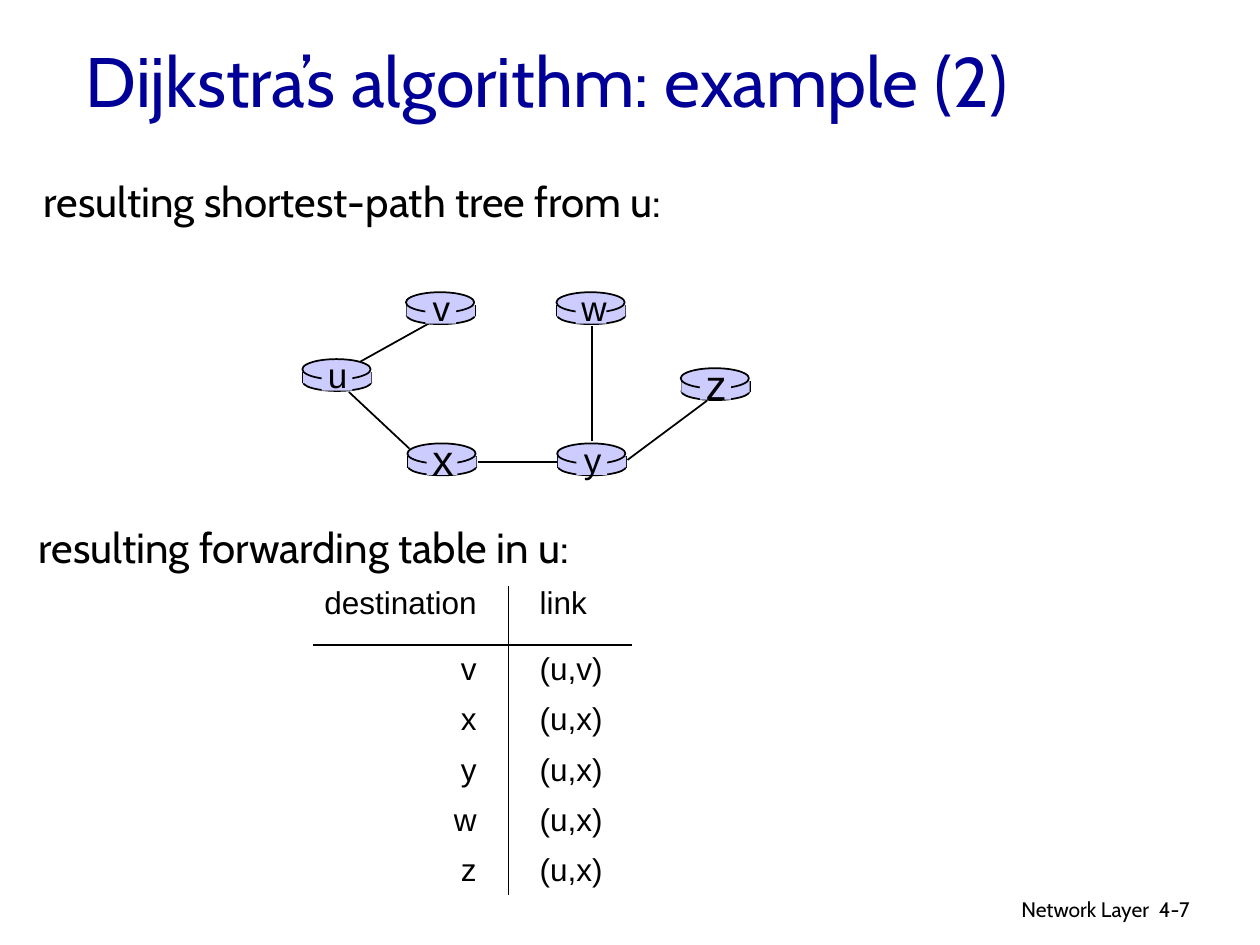
"""Build the slide with the shortest-path tree and forwarding table of router u."""
import pptx
import pptx.dml.color
import pptx.enum.shapes
import pptx.enum.text
import pptx.oxml
import pptx.oxml.ns
import pptx.util
from dataclasses import dataclass


@dataclass(frozen=True)
class Theme:
    heading_font: str = "Cabin"
    label_font: str = "Arial"
    title_color: str = "000099"
    ink: str = "000000"
    router_fill: str = "CCCCFF"
    title_size: int = 40
    lead_size: int = 24
    table_size: int = 18
    footer_size: int = 12
    link_width: float = 1
    rule_width: float = 0.75


THEME = Theme()
Pt = pptx.util.Pt
SHAPE = pptx.enum.shapes.MSO_SHAPE
ALIGN = pptx.enum.text.PP_ALIGN
ANCHOR = pptx.enum.text.MSO_ANCHOR

TITLE = "Dijkstra’s algorithm: example (2)"
TITLE_FRAME = (41.8, 12.2, 612, 67)
LEADS = [
    ("resulting shortest-path tree from u:", (18, 96.5, 414, 36)),
    ("resulting forwarding table in u:", (15.1, 294.5, 364.3, 36)),
]
FOOTERS = [
    ("Network Layer", (435.6, 509, 228.2, 22), ALIGN.RIGHT),
    ("4-7", (655.2, 509, 53.3, 22), ALIGN.LEFT),
]
ROUTERS = [
    ("u", 172.8, 205.2, 20),
    ("x", 232.8, 253.4, 24),
    ("v", 232, 167, 20),
    ("w", 318, 167, 20),
    ("y", 318.4, 253.4, 20),
    ("z", 389, 210.4, 24),
]
LINKS = [
    (206, 206.6, 248.4, 183),
    (338.4, 186.5, 338.4, 252),
    (358.6, 262.8, 404, 229),
    (273, 264.2, 319, 264.2),
    (199.4, 224, 234, 256.4),
]
FORWARDING = [
    ("destination", "link"),
    ("v", "(u,v)"),
    ("x", "(u,x)"),
    ("y", "(u,x)"),
    ("w", "(u,x)"),
    ("z", "(u,x)"),
]
TABLE_LEFT, TABLE_TOP = 179, 335
COLUMN_WIDTHS = (111.4, 71)
HEADER_HEIGHT, ROW_HEIGHT = 33.6, 28.6
CELL_GAP = 18
ROUTER_WIDTH, ROUTER_LID, ROUTER_DROP, ROUTER_WALL = 39, 11.6, 7.4, 6.4


def rgb(code):
    return pptx.dml.color.RGBColor.from_string(code)


def write(frame, text, font, size, color=THEME.ink, align=ALIGN.LEFT):
    para = frame.paragraphs[0]
    para.alignment = align
    span = para.add_run()
    span.text = text
    span.font.name = font
    span.font.size = Pt(size)
    span.font.color.rgb = rgb(color)


def add_text(page, text, bounds, font, size, align=ALIGN.LEFT, wrap=True):
    box = page.shapes.add_textbox(*map(Pt, bounds))
    box.text_frame.word_wrap = wrap
    write(box.text_frame, text, font, size, align=align)


def add_part(page, kind, bounds, outlined):
    part = page.shapes.add_shape(kind, *map(Pt, bounds))
    part.shadow.inherit = False
    part.fill.solid()
    part.fill.fore_color.rgb = rgb(THEME.router_fill)
    if outlined:
        part.line.color.rgb = rgb(THEME.ink)
        part.line.width = Pt(THEME.link_width)
    else:
        part.line.fill.background()


def add_line(page, ends):
    line = page.shapes.add_connector(pptx.enum.shapes.MSO_CONNECTOR.STRAIGHT, *map(Pt, ends))
    line.line.color.rgb = rgb(THEME.ink)
    line.line.width = Pt(THEME.link_width)
    pptx.oxml.ns.qn("a:effectLst")
    line._element.spPr.append(pptx.oxml.parse_xml(
        f'<a:effectLst {pptx.oxml.ns.nsdecls("a")}/>'))


def add_router(page, name, left, top, size):
    wall_top = top + ROUTER_DROP
    add_part(page, SHAPE.OVAL, (left + 0.4, top + 8.2, ROUTER_WIDTH, 10), True)
    for side in (left + 0.4, left + 0.4 + ROUTER_WIDTH):
        add_line(page, (side, wall_top, side, wall_top + ROUTER_WALL))
    add_part(page, SHAPE.RECTANGLE, (left + 0.4, wall_top, ROUTER_WIDTH, ROUTER_WALL), False)
    add_part(page, SHAPE.OVAL, (left, top, ROUTER_WIDTH, ROUTER_LID), True)
    add_part(page, SHAPE.RECTANGLE, (left + 11, top + 1.4, 17.6, 16.6), False)
    width, height = 26, size * 1.2 + 7.2
    middle_x, middle_y = left + 20.2, top + 9
    bounds = (middle_x - width / 2, middle_y - height / 2, width, height)
    add_text(page, name, bounds, THEME.label_font, size, ALIGN.CENTER, wrap=False)


def set_borders(cell, ruled):
    properties = cell._tc.get_or_add_tcPr()
    for index, side in enumerate(("lnL", "lnR", "lnT", "lnB")):
        paint = (f'<a:solidFill><a:srgbClr val="{THEME.ink}"/></a:solidFill>'
                 if side in ruled else "<a:noFill/>")
        properties.insert(index, pptx.oxml.parse_xml(
            f'<a:{side} {pptx.oxml.ns.nsdecls("a")} w="{Pt(THEME.rule_width)}">{paint}</a:{side}>'))


def add_forwarding_table(page):
    heights = [HEADER_HEIGHT] + [ROW_HEIGHT] * (len(FORWARDING) - 1)
    frame = page.shapes.add_table(
        len(FORWARDING), len(COLUMN_WIDTHS), Pt(TABLE_LEFT), Pt(TABLE_TOP),
        Pt(sum(COLUMN_WIDTHS)), Pt(sum(heights)))
    table = frame.table
    table.first_row = table.horz_banding = False
    for column, width in zip(table.columns, COLUMN_WIDTHS):
        column.width = Pt(width)
    for row, (entries, height) in enumerate(zip(FORWARDING, heights)):
        table.rows[row].height = Pt(height)
        for column, text in enumerate(entries):
            cell = table.cell(row, column)
            cell.fill.background()
            cell.margin_top = cell.margin_bottom = 0
            cell.margin_left = Pt(CELL_GAP * column)
            cell.margin_right = Pt(CELL_GAP * (1 - column))
            cell.vertical_anchor = ANCHOR.TOP if row == 0 else ANCHOR.MIDDLE
            write(cell.text_frame, text, THEME.label_font, THEME.table_size,
                  align=ALIGN.LEFT if column else ALIGN.RIGHT)
            ruled = ["lnL" if column else "lnR"]
            if row < 2:
                ruled.append("lnT" if row else "lnB")
            set_borders(cell, ruled)


def main():
    deck = pptx.Presentation()
    deck.slide_width, deck.slide_height = Pt(720), Pt(540)
    page = deck.slides.add_slide(deck.slide_layouts[5])
    title = page.shapes.title
    title.left, title.top, title.width, title.height = map(Pt, TITLE_FRAME)
    title.text_frame.vertical_anchor = ANCHOR.MIDDLE
    write(title.text_frame, TITLE, THEME.heading_font, THEME.title_size, THEME.title_color)
    for text, bounds in LEADS:
        add_text(page, text, bounds, THEME.heading_font, THEME.lead_size, wrap=False)
    for ends in LINKS:
        add_line(page, ends)
    for router in ROUTERS:
        add_router(page, *router)
    add_forwarding_table(page)
    for text, bounds, align in FOOTERS:
        add_text(page, text, bounds, THEME.heading_font, THEME.footer_size, align)
    deck.save("out.pptx")


if __name__ == "__main__":
    main()
